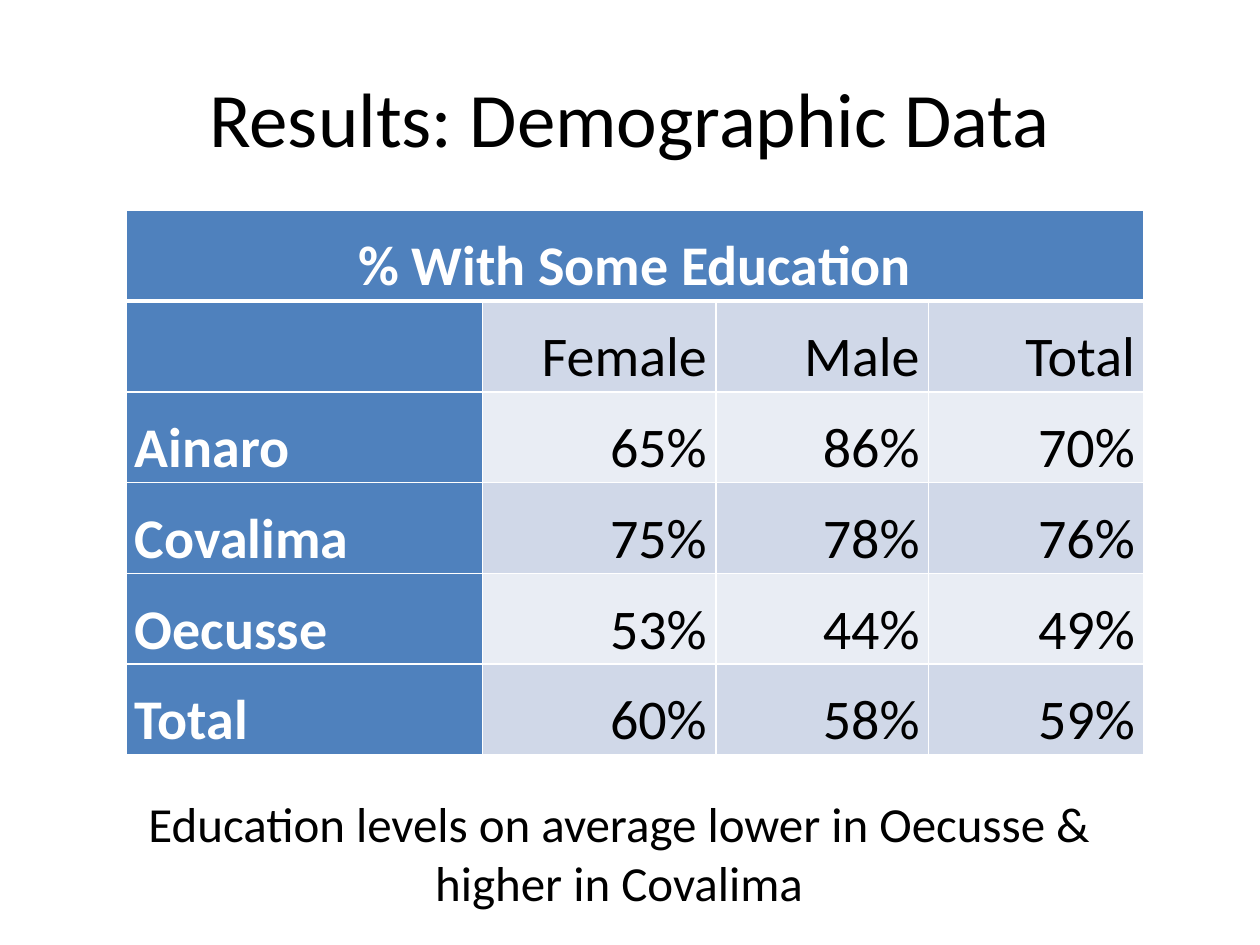
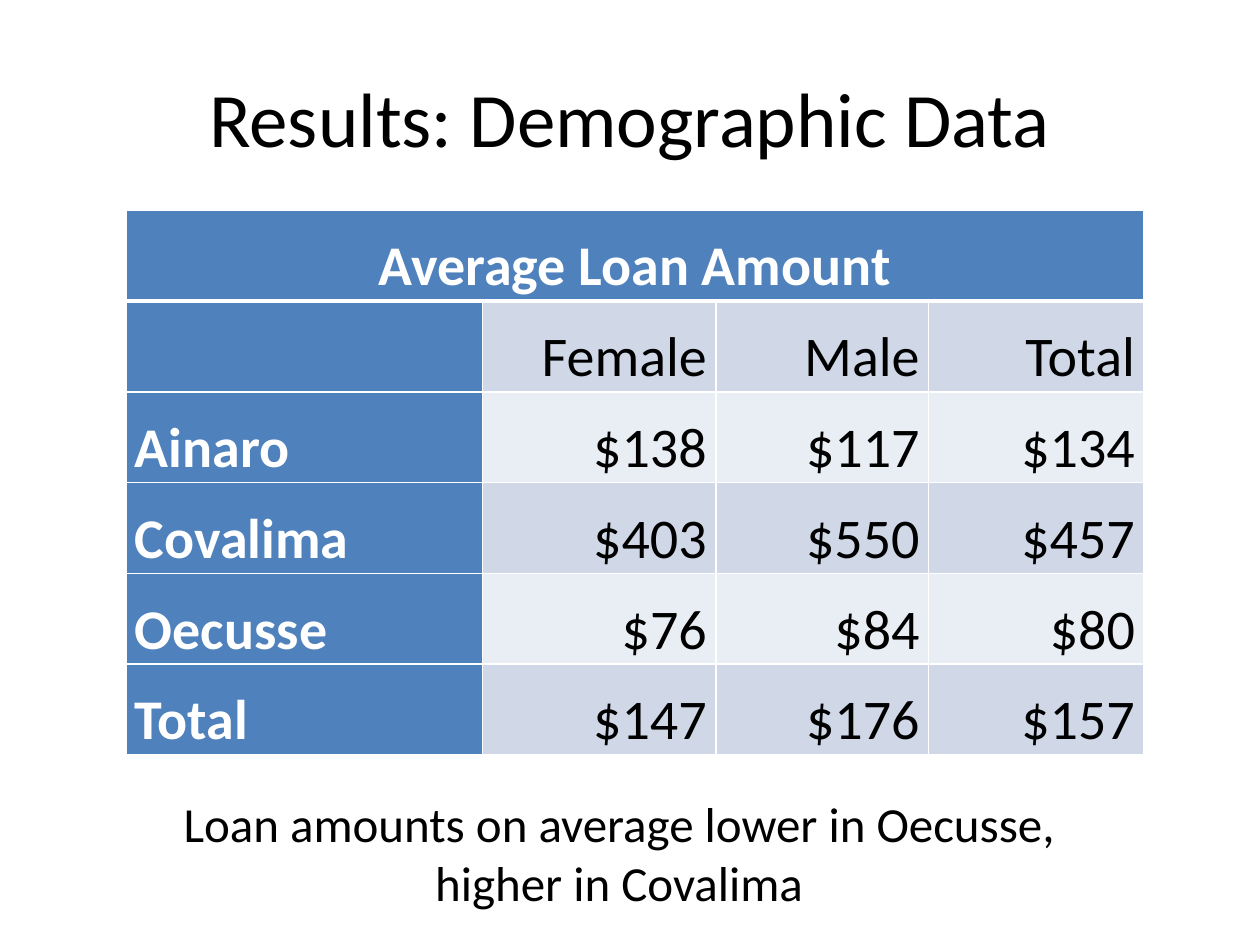
"""Build two slides of demographic results, each with a table and a finding."""
import lxml.etree
import pptx
import pptx.dml.color
import pptx.enum.text
import pptx.oxml.ns
import pptx.util

Cm = pptx.util.Cm
Pt = pptx.util.Pt
ALIGN = pptx.enum.text.PP_ALIGN
ANCHOR = pptx.enum.text.MSO_ANCHOR

FONT = "Calibri"
BLACK = "000000"
WHITE = "FFFFFF"
HEADING_BLUE = "4F81BD"
BANDS = ("E9EDF4", "D0D8E8")

TITLE = "Results: Demographic Data"
COLUMN_WIDTHS = (7.19, 4.7, 4.29, 4.34)
ROW_HEIGHT = 1.83
GROUPS = ("", "Female", "Male", "Total")

RESULTS = (
    (
        "% With Some Education",
        (
            ("Ainaro", "65%", "86%", "70%"),
            ("Covalima", "75%", "78%", "76%"),
            ("Oecusse", "53%", "44%", "49%"),
            ("Total", "60%", "58%", "59%"),
        ),
        ("Education levels on average lower in Oecusse & higher in Covalima",),
    ),
    (
        "Average Loan Amount",
        (
            ("Ainaro", "$138", "$117", "$134"),
            ("Covalima", "$403", "$550", "$457"),
            ("Oecusse", "$76", "$84", "$80"),
            ("Total", "$147", "$176", "$157"),
        ),
        ("Loan amounts on average lower in Oecusse,", "higher in Covalima"),
    ),
)


def rgb(color):
    return pptx.dml.color.RGBColor.from_string(color)


def style_paragraph(paragraph, size, color, align, bold=False):
    paragraph.alignment = align
    paragraph.font.name = FONT
    paragraph.font.size = Pt(size)
    paragraph.font.bold = bold
    paragraph.font.color.rgb = rgb(color)


def add_title(slide):
    title = slide.shapes.title
    title.left, title.top = Cm(1.27), Cm(0.76)
    title.width, title.height = Cm(22.86), Cm(3.18)
    title.text_frame.text = TITLE
    title.text_frame.vertical_anchor = ANCHOR.MIDDLE
    style_paragraph(title.text_frame.paragraphs[0], 44, BLACK, ALIGN.CENTER)


def set_borders(cell, top, bottom):
    qn = pptx.oxml.ns.qn
    properties = cell._tc.get_or_add_tcPr()
    for side, width in (("L", 1), ("R", 1), ("T", top), ("B", bottom)):
        border = lxml.etree.SubElement(properties, qn(f"a:ln{side}"), w=str(Pt(width)))
        fill = lxml.etree.SubElement(border, qn("a:solidFill"))
        lxml.etree.SubElement(fill, qn("a:srgbClr"), val=WHITE)


def format_cell(cell, text, row, column):
    is_heading = row == 0 or column == 0
    set_borders(cell, top=3 if row == 1 else 1, bottom=3 if row == 0 else 1)
    cell.fill.solid()
    cell.fill.fore_color.rgb = rgb(HEADING_BLUE if is_heading else BANDS[row % 2])
    cell.margin_left = cell.margin_right = Cm(0.18)
    cell.margin_top = cell.margin_bottom = 0
    cell.vertical_anchor = ANCHOR.BOTTOM
    if text:
        cell.text = text
        paragraph = cell.text_frame.paragraphs[0]
        paragraph.line_spacing = 1.15
        align = ALIGN.CENTER if row == 0 else ALIGN.RIGHT if column else ALIGN.LEFT
        style_paragraph(paragraph, 32, WHITE if is_heading else BLACK, align, is_heading)


def add_results_table(slide, heading, districts):
    rows = ((heading, "", "", ""), GROUPS, *districts)
    table = slide.shapes.add_table(
        len(rows), len(GROUPS), Cm(2.54), Cm(4.24),
        Cm(sum(COLUMN_WIDTHS)), Cm(ROW_HEIGHT * len(rows)),
    ).table
    table.first_col = True
    for column, width in zip(table.columns, COLUMN_WIDTHS):
        column.width = Cm(width)
    for row_index, values in enumerate(rows):
        table.rows[row_index].height = Cm(ROW_HEIGHT)
        for column_index, value in enumerate(values):
            format_cell(table.cell(row_index, column_index), value, row_index, column_index)
    table.cell(0, 0).merge(table.cell(0, len(GROUPS) - 1))


def add_finding(slide, lines):
    finding = slide.shapes.add_textbox(Cm(1.9), Cm(15.88), Cm(21.16), Cm(2.64)).text_frame
    finding.word_wrap = True
    finding.text = "\n".join(lines)
    for paragraph in finding.paragraphs:
        style_paragraph(paragraph, 28, BLACK, ALIGN.CENTER)


def main():
    presentation = pptx.Presentation()
    presentation.slide_width, presentation.slide_height = Cm(25.4), Cm(19.05)
    for heading, districts, finding in RESULTS:
        slide = presentation.slides.add_slide(presentation.slide_layouts[5])
        add_title(slide)
        add_results_table(slide, heading, districts)
        add_finding(slide, finding)
    presentation.save("out.pptx")


if __name__ == "__main__":
    main()
